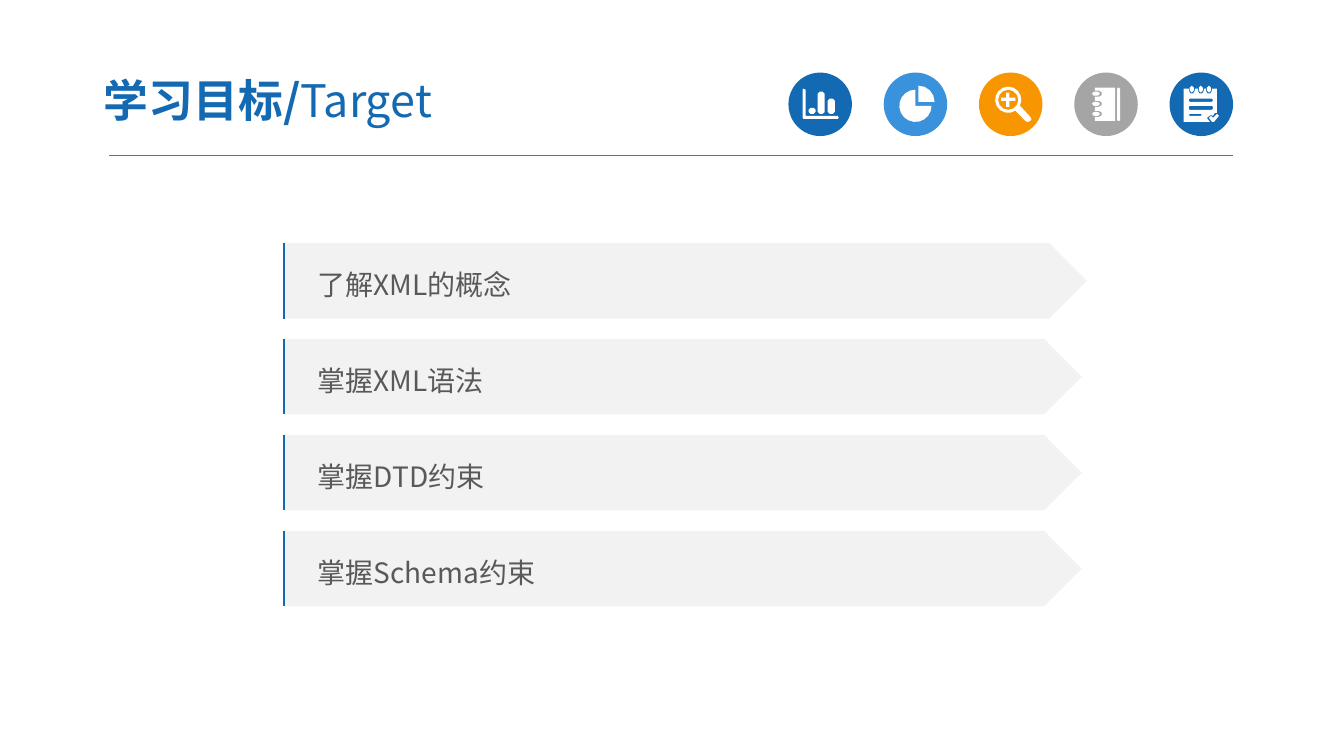
from math import cos, radians, sin

from lxml import etree
from pptx import Presentation
from pptx.dml.color import RGBColor
from pptx.enum.shapes import MSO_CONNECTOR, MSO_SHAPE
from pptx.enum.text import MSO_ANCHOR, MSO_AUTO_SIZE, PP_ALIGN
from pptx.oxml.ns import qn
from pptx.util import Pt

PX = 9144  # 100 px to the inch
FONT = "Noto Sans CJK SC"
BLUE = RGBColor(0x13, 0x69, 0xB2)
SKY = RGBColor(0x39, 0x92, 0xDB)
ORANGE = RGBColor(0xF7, 0x96, 0x00)
GREY = RGBColor(0xA5, 0xA5, 0xA5)
RULE_GREY = RGBColor(0x70, 0x70, 0x70)
PALE = RGBColor(0xF2, 0xF2, 0xF2)
TEXT_GREY = RGBColor(0x59, 0x59, 0x59)
WHITE = RGBColor(0xFF, 0xFF, 0xFF)

ELLIPSE, PENTAGON = MSO_SHAPE.OVAL, MSO_SHAPE.PENTAGON
STRAIGHT = MSO_CONNECTOR.STRAIGHT
LEFT, MIDDLE = PP_ALIGN.LEFT, MSO_ANCHOR.MIDDLE

GOALS = ["了解XML的概念", "掌握XML语法", "掌握DTD约束", "掌握Schema约束"]


def px(*lengths):
    return [round(length * PX) for length in lengths]


def arc(cx, cy, radius, start, end):
    """Points along a circle, in degrees, clockwise from the right."""
    span = abs(end - start)
    steps = max(span // 60, span * radius // 300)
    angles = [radians(start + (end - start) * i / steps) for i in range(steps + 1)]
    return [(cx + radius * cos(a), cy + radius * sin(a)) for a in angles]


def rounded(left, top, right, bottom, radius):
    l, t, r, b = left + radius, top + radius, right - radius, bottom - radius
    return (arc(l, t, radius, 180, 270) + arc(r, t, radius, 270, 360)
            + arc(r, b, radius, 0, 90) + arc(l, b, radius, 90, 180))


def bar_chart_icon():
    axes = [(796, 89), (797, 88), (799, 89), (799, 115), (831, 115), (832, 117),
            (831, 118), (797, 118), (796, 117)]
    bars = [(802, 107), (811, 91), (821, 98)]
    return [axes] + [rounded(x, y, x + 7, 113, 2) for x, y in bars]


def pie_icon():
    return [[(911, 101)] + arc(911, 101, 16, -90, 0),
            [(908, 105)] + arc(908, 105, 16, 0, 270)]


def magnifier_icon():
    handle = [(1021, 115), (1023, 118), (1022, 120), (1019, 121), (1017, 120)]
    plus = [(998, 92), (1001, 92), (1001, 97), (1007, 97), (1007, 100), (1001, 100),
            (1001, 106), (998, 106), (998, 100), (993, 100), (993, 97), (998, 97)]
    return [arc(1000, 99, 13, 57, 387) + handle, arc(1000, 99, 10, 0, 360), plus]


def notebook_icon():
    page = [(1106, 87), (1106, 120), (1086, 120)]
    rings = []
    for y in (113, 103, 93):
        page += [(1086, y + 3)] + arc(1090, y, 3, 90, -90) + [(1086, y - 3)]
        rings.append(rounded(1083, y - 2, 1091, y + 2, 2))
    page.append((1086, 87))
    return [page, rounded(1108, 87, 1111, 120, 1)] + rings


def notepad_icon():
    page = [(1207, 112), (1205, 112), (1203, 115), (1201, 114), (1197, 117),
            (1200, 121), (1174, 121), (1174, 88)]
    rings = []
    for x in (1182, 1191, 1199):
        page += [(x - 3, 88)] + arc(x, 90, 3, 180, 0) + [(x + 3, 88)]
        rings.append(rounded(x - 2, 85, x + 2, 92, 2))
    page.append((1207, 88))
    lines = [rounded(1179, 98, 1203, 101, 1), rounded(1179, 105, 1203, 109, 1),
             rounded(1179, 113, 1192, 115, 1)]
    tick = [(1199, 117), (1201, 115), (1203, 117), (1207, 113), (1209, 115), (1204, 121),
            (1202, 121)]
    return [page, tick] + rings + lines


def paint(sp, color):
    sp.shadow.inherit = False
    sp.fill.solid()
    sp.fill.fore_color.rgb = color
    sp.line.fill.background()


def add_shape(s, kind, left, top, width, height, color):
    sp = s.shapes.add_shape(kind, *px(left, top, width, height))
    paint(sp, color)
    return sp


def add_icon(s, contours):
    """Draw closed contours as one white outline; inner contours become holes."""
    builder = s.shapes.build_freeform(*px(*contours[0][0]))
    for i, contour in enumerate(contours):
        points = [px(*point) for point in contour]
        if i:
            builder.move_to(*points[0])
        builder.add_line_segments(points[1:], close=True)
    paint(builder.convert_to_shape(), WHITE)


def add_rule(s, x1, y1, x2, y2):
    line = s.shapes.add_connector(STRAIGHT, *px(x1, y1, x2, y2))
    line.line.color.rgb = RULE_GREY
    line.line.width = Pt(0.5)
    etree.SubElement(line._element.spPr, qn("a:effectLst"))


def add_accent(s, left, top, width, height):
    """Draw an open outline along the left side of the given box."""
    builder = s.shapes.build_freeform(*px(left, top + height))
    builder.add_line_segments([px(left, top)], close=False)
    builder.move_to(*px(left + width, top))
    sp = builder.convert_to_shape()
    sp.shadow.inherit = False
    sp.fill.background()
    sp.line.color.rgb = BLUE
    sp.line.width = Pt(1.5)


def add_run(p, text, size, color, bold=False):
    r = p.add_run()
    r.text = text
    r.font.size = Pt(size)
    r.font.bold = bold
    r.font.color.rgb = color
    r.font.name = FONT
    etree.SubElement(r._r.get_or_add_rPr(), qn("a:ea")).set("typeface", FONT)


def set_title(s):
    title = s.shapes.title
    title.left, title.top, title.width, title.height = px(90, 63, 522, 72)
    tf = title.text_frame
    tf.auto_size = MSO_AUTO_SIZE.NONE
    tf.vertical_anchor = MIDDLE
    tf.margin_left, tf.margin_top, tf.margin_right, tf.margin_bottom = px(13, 7, 13, 7)
    p = tf.paragraphs[0]
    p.alignment = LEFT
    add_run(p, "学习目标/", 32, BLUE, bold=True)
    add_run(p, "Target", 32, BLUE)


def add_goal(s, text, top, width):
    sp = add_shape(s, PENTAGON, 281, top, width, 75, PALE)
    tf = sp.text_frame
    tf.vertical_anchor = MIDDLE
    tf.margin_left = 34 * PX
    p = tf.paragraphs[0]
    p.alignment = LEFT
    p.line_spacing = 1.2
    add_run(p, text, 20, TEXT_GREY)
    add_accent(s, 282, top, 12, 75)


def main():
    prs = Presentation()
    prs.slide_width, prs.slide_height = px(1333, 750)
    s = prs.slides.add_slide(prs.slide_layouts[5])
    set_title(s)
    add_rule(s, 108, 154, 1223, 154)
    badges = [(BLUE, bar_chart_icon), (SKY, pie_icon), (ORANGE, magnifier_icon),
              (GREY, notebook_icon), (BLUE, notepad_icon)]
    for i, (color, icon) in enumerate(badges):
        add_shape(s, ELLIPSE, 782 + 94.5 * i, 72, 63, 63, color)
        add_icon(s, icon())
    for i, goal in enumerate(GOALS):
        add_goal(s, goal, 241 + 95.2 * i, 792 if i else 797)
    prs.save("out.pptx")


if __name__ == "__main__":
    main()
